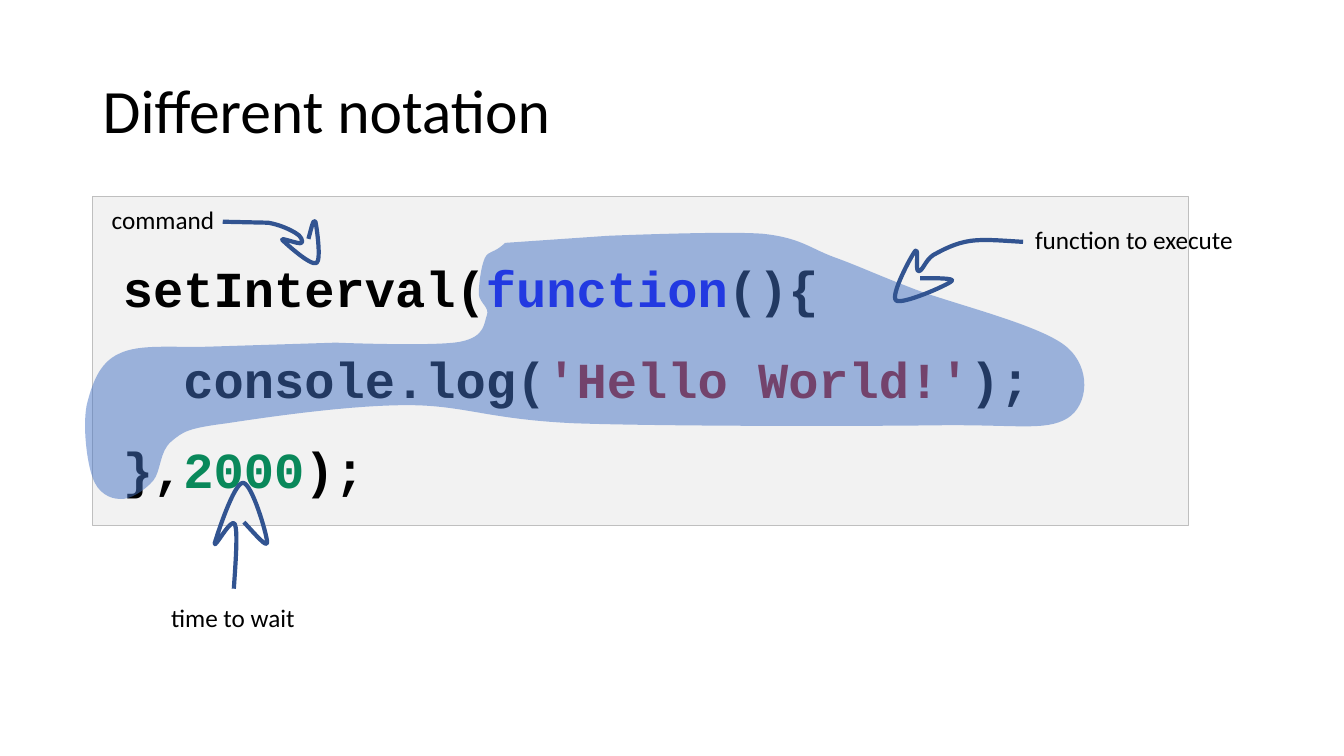
from lxml import etree
from pptx import Presentation
from pptx.dml.color import RGBColor
from pptx.enum.shapes import MSO_SHAPE
from pptx.enum.text import MSO_ANCHOR, MSO_AUTO_SIZE, PP_ALIGN
from pptx.oxml.ns import qn
from pptx.util import Pt

PX = 9144  # EMU in one px, 100 px to the inch
PAGE_HEIGHT = 750 * PX
PAGE_WIDTH = PAGE_HEIGHT * 16 // 9
RECTANGLE = MSO_SHAPE.RECTANGLE
TOP, MIDDLE = MSO_ANCHOR.TOP, MSO_ANCHOR.MIDDLE
LEFT = PP_ALIGN.LEFT
GROW = MSO_AUTO_SIZE.SHAPE_TO_FIT_TEXT

COLORS = {
    "text": "000000",
    "keyword": "0000FF",
    "string": "A31515",
    "number": "09885A",
    "panel": "F2F2F2",
    "panel_line": "BFBFBF",
    "highlight": "4472C4",
    "arrow": "325491",
}

# Each code line: indent in px, then its coloured spans
CODE = [
    (0, [("setInterval(", "text"), ("function", "keyword"), ("(){", "text")]),
    (60, [("console.log(", "text"), ("'Hello World!'", "string"), (");", "text")]),
    (0, [("},", "text"), ("2000", "number"), (");", "text")]),
]

LABELS = [
    ("function to execute", (1017, 218, 219, 40)),
    ("time to wait", (160, 593, 144, 40)),
    ("command", (101, 198, 123, 40)),
]

# Outlines: a start point, then lines (x, y) and curves (control, control, end)
FUNCTION_AREA_PLACE = (85, 231, 991, 264)
FUNCTION_AREA = [
    (501, 241),
    (490, 252, 485, 248, 481, 256),
    (477, 265, 475, 283, 475, 292),
    (476, 301, 486, 305, 483, 313),
    (480, 320, 482, 334, 457, 339),
    (433, 344, 333, 340, 333, 340),
    (206, 344),
    (170, 345, 138, 341, 118, 351),
    (98, 360, 91, 382, 86, 402),
    (82, 423, 86, 458, 92, 474),
    (97, 489, 109, 495, 119, 495),
    (129, 496, 143, 487, 152, 477),
    (160, 467, 158, 448, 170, 438),
    (182, 428, 186, 425, 225, 420),
    (264, 414, 346, 402, 404, 402),
    (461, 402, 483, 416, 570, 420),
    (658, 423, 848, 423, 929, 422),
    (1010, 421, 1037, 428, 1059, 415),
    (1080, 402, 1083, 365, 1058, 344),
    (1032, 322, 943, 301, 905, 286),
    (866, 271, 852, 264, 827, 255),
    (803, 246, 794, 236, 757, 232),
    (720, 229, 603, 234, 603, 234),
    (501, 241),
]

# Each arrow: its place, then its outline
ARROWS = [
    ((887, 238, 127, 60), [  # function to execute
        (1015, 240),
        (996, 239, 978, 237, 963, 239),
        (948, 241, 935, 248, 926, 253),
        (918, 258, 915, 270, 911, 269),
        (908, 268, 912, 245, 908, 249),
        (904, 254, 883, 293, 889, 298),
        (894, 303, 940, 283, 944, 279),
        (948, 276, 930, 276, 913, 276),
    ]),
    ((213, 479, 52, 105), [  # time to wait
        (232, 584),
        (234, 555, 236, 527, 233, 520),
        (230, 512, 212, 546, 213, 539),
        (215, 532, 232, 479, 241, 479),
        (250, 479, 265, 531, 265, 538),
        (265, 544, 254, 531, 242, 518),
    ]),
    ((221, 219, 95, 43), [  # command
        (221, 220),
        (266, 221),
        (278, 223, 288, 228, 293, 231),
        (299, 234, 301, 240, 299, 241),
        (297, 243, 278, 235, 280, 238),
        (283, 241, 308, 264, 314, 261),
        (319, 258, 314, 224, 313, 220),
        (311, 216, 309, 226, 306, 237),
    ]),
]


def color(name):
    return RGBColor.from_string(COLORS[name])


def style_span(span, font, size, color_name, bold=False):
    span.font.name = font
    span.font.size = Pt(size)
    span.font.bold = bold
    span.font.color.rgb = color(color_name)


def add_text(page, text, place, size):
    box = page.shapes.add_textbox(*(value * PX for value in place))
    box.text_frame.text = text
    style_span(box.text_frame.paragraphs[0].runs[0], "Calibri", size, "text")
    return box.text_frame


def add_title(page, text):
    frame = add_text(page, text, (92, 40, 1150, 145), 44)
    frame.word_wrap = True
    frame.vertical_anchor = MIDDLE
    frame.paragraphs[0].line_spacing = 0.9


def add_label(page, text, place):
    frame = add_text(page, text, place, 18)
    frame.word_wrap = False
    frame.auto_size = GROW


def add_code_panel(page):
    panel = page.shapes.add_shape(RECTANGLE, 92 * PX, 195 * PX, 1087 * PX, 326 * PX)
    panel.shadow.inherit = False
    panel.fill.solid()
    panel.fill.fore_color.rgb = color("panel")
    panel.line.color.rgb = color("panel_line")
    panel.line.width = Pt(0.75)
    frame = panel.text_frame
    frame.margin_left = frame.margin_top = frame.margin_bottom = 30 * PX
    frame.margin_right = 10 * PX
    frame.word_wrap = True
    frame.auto_size = GROW
    frame.vertical_anchor = TOP
    for index, (indent, spans) in enumerate(CODE):
        para = frame.add_paragraph() if index else frame.paragraphs[0]
        para.alignment = LEFT
        para.line_spacing = 1.5
        if indent:
            para._p.get_or_add_pPr().set("marL", str(indent * PX))
        for text, color_name in spans:
            span = para.add_run()
            span.text = text
            style_span(span, "Courier New", 36, color_name, bold=True)


def add_outline(page, place, outline, close):
    """Make a freeform that fills its place, then give it true Bézier segments."""
    left, top, width, height = place
    builder = page.shapes.build_freeform(left, top, scale=PX)
    builder.add_line_segments([(left + width, top + height)], close=False)
    shape = builder.convert_to_shape()
    shape.shadow.inherit = False
    track = shape._element.spPr.find(".//" + qn("a:path"))
    for step in list(track):
        track.remove(step)
    for index, segment in enumerate(outline):
        tag = "a:cubicBezTo" if len(segment) == 6 else "a:lnTo" if index else "a:moveTo"
        step = etree.SubElement(track, qn(tag))
        for x, y in zip(segment[::2], segment[1::2]):
            point = etree.SubElement(step, qn("a:pt"))
            point.set("x", str(x - left))
            point.set("y", str(y - top))
    if close:
        etree.SubElement(track, qn("a:close"))
    return shape


def add_highlight(page, place, outline, opacity):
    area = add_outline(page, place, outline, close=True)
    area.line.fill.background()
    area.fill.solid()
    area.fill.fore_color.rgb = color("highlight")
    tint = area._element.spPr.find(qn("a:solidFill")).find(qn("a:srgbClr"))
    etree.SubElement(tint, qn("a:alpha")).set("val", str(opacity * 1000))


def add_arrow(page, place, outline):
    arrow = add_outline(page, place, outline, close=False)
    arrow.fill.background()
    arrow.line.color.rgb = color("arrow")
    arrow.line.width = Pt(3)


def main():
    deck = Presentation()
    deck.slide_width, deck.slide_height = PAGE_WIDTH, PAGE_HEIGHT
    page = deck.slides.add_slide(deck.slide_layouts[6])
    add_title(page, "Different notation")
    add_code_panel(page)
    add_highlight(page, FUNCTION_AREA_PLACE, FUNCTION_AREA, opacity=50)
    for place, outline in ARROWS:
        add_arrow(page, place, outline)
    for text, place in LABELS:
        add_label(page, text, place)
    deck.save("out.pptx")


if __name__ == "__main__":
    main()
